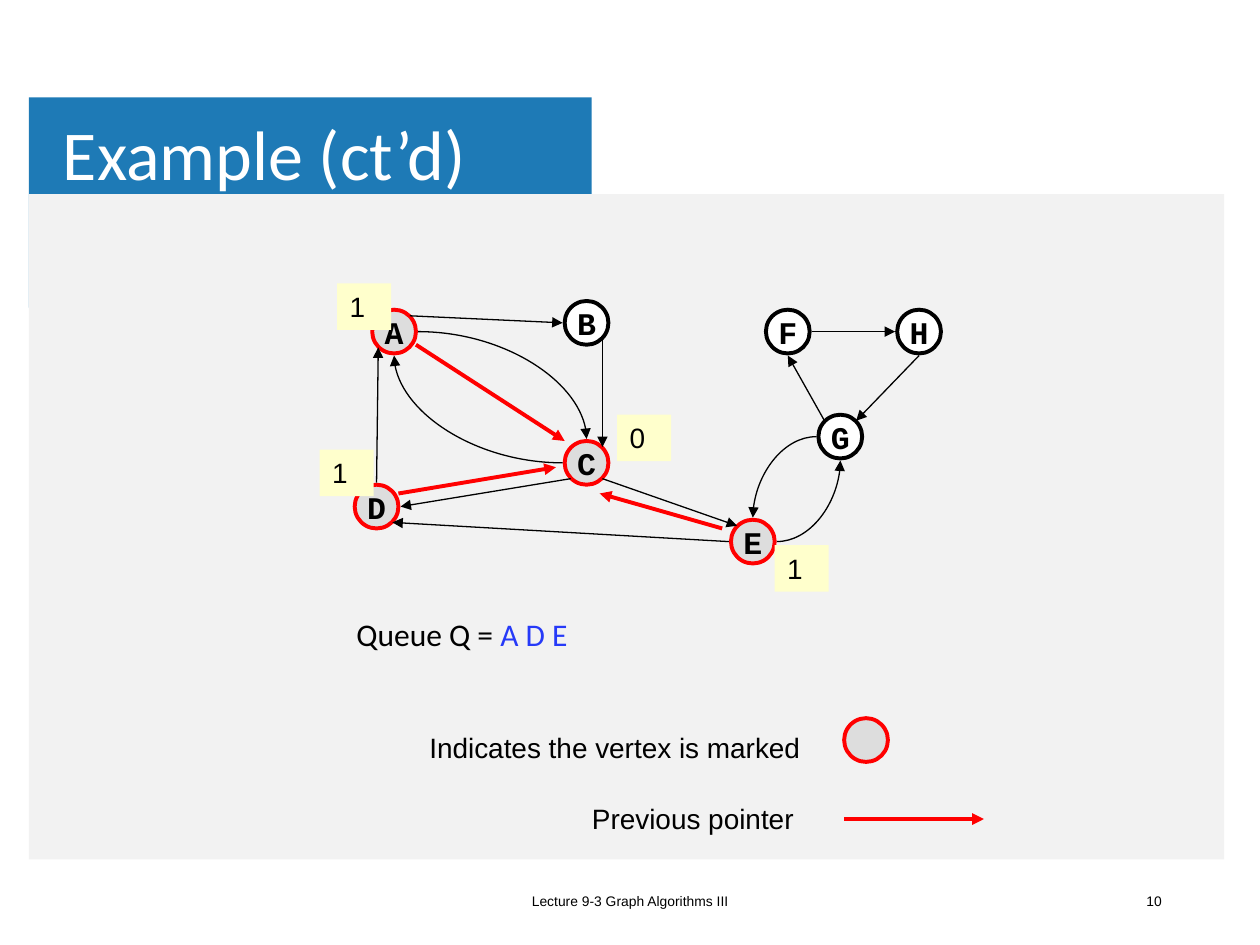
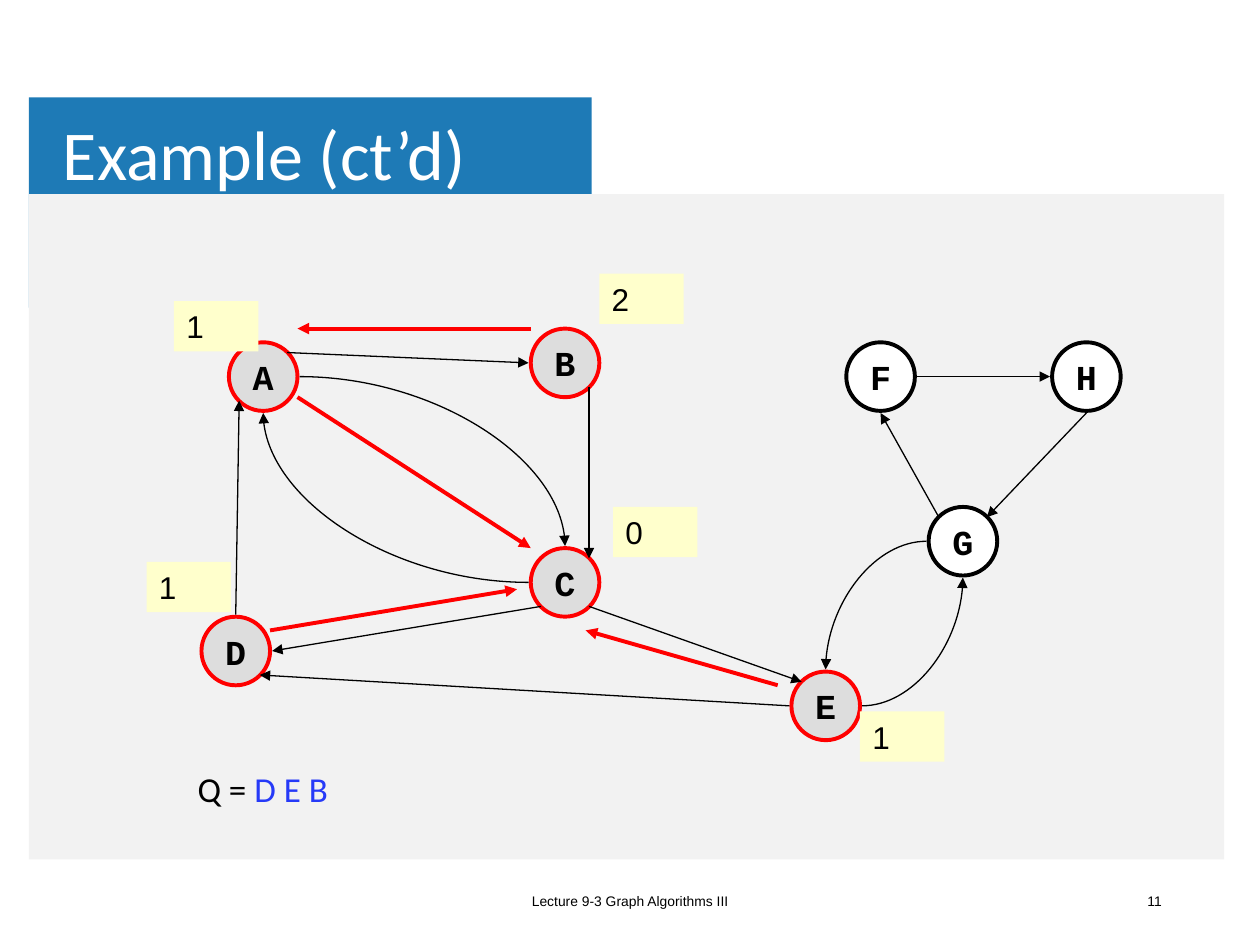
from dataclasses import dataclass

from lxml.etree import SubElement
from pptx import Presentation
from pptx.dml.color import RGBColor
from pptx.enum.shapes import MSO_CONNECTOR as CONNECTOR, MSO_SHAPE as SHAPE
from pptx.enum.text import MSO_ANCHOR as ANCHOR, PP_ALIGN as ALIGN
from pptx.oxml.ns import qn
from pptx.util import Pt

COLORS = {
    "banner": "1E7AB6",
    "panel": "F2F2F2",
    "white": "FFFFFF",
    "ink": "000000",
    "marked": "DDDDDD",
    "pointer": "FF0000",
    "distance": "FFFFCC",
    "queue": "263AF8",
}
THICK, THIN = 2.25, 0.75
DIAMETER = 5
EDGE_GAP = 1.2

VERTICES = {
    "A": (0, 0), "C": (22, 15), "B": (22, -1), "D": (-2, 20),
    "F": (45, 0), "H": (60, 0), "G": (51, 12), "E": (41, 24),
}
SITES = {
    "N": (0, -1), "S": (0, 1), "E": (1, 0), "W": (-1, 0),
    "NE": (0.66, -0.66), "NW": (-0.66, -0.66),
    "SE": (0.66, 0.66), "SW": (-0.66, 0.66),
}
CURVED_EDGES = ["A E C N", "C W A S", "G W E N", "E E G S"]
STRAIGHT_EDGES = [
    "A NE B W", "B SE C NE", "C SW D E", "D N A SW", "C SE E NW",
    "E W D SE", "G NW F S", "F E H W", "H S G NE",
]
DISTANCE_OFFSETS = {
    "A": (-6.5, -5.5), "B": (2.5, -6.5), "C": (3.5, -5.5),
    "D": (-6.5, -6.5), "E": (2.5, 0.4),
}
POINTERS = {
    "E": ((-3.5, -1.5), "C", (1.5, 3.5)),
    "D": ((2.5, -1.5), "C", (-3.5, 0.5)),
    "A": ((2.5, 1.5), "C", (-2.5, -2.5)),
    "B": ((-2.5, -2.5), "A", (2.5, -3.5)),
}


@dataclass
class Graph:
    origin: tuple
    unit: float
    letter_size: int
    distance_size: int
    distance_box: tuple
    distances: dict

    def point(self, vertex, offset=(0, 0)):
        return tuple(start + self.unit * (place + shift) for start, place, shift
                     in zip(self.origin, VERTICES[vertex], offset))

    def site(self, vertex, side):
        reach = self.unit * DIAMETER / 2 + EDGE_GAP
        return tuple(center + reach * direction for center, direction
                     in zip(self.point(vertex), SITES[side]))


def rgb(color):
    return RGBColor.from_string(COLORS[color])


def write(shape, text, size, font="Arial", color="ink", bold=False, align=ALIGN.LEFT,
          anchor=ANCHOR.TOP, wrap=True, spacing=None, insets=None):
    frame = shape.text_frame
    frame.word_wrap = wrap
    frame.vertical_anchor = anchor
    if insets:
        frame.margin_left = frame.margin_right = Pt(insets[0])
        frame.margin_top = frame.margin_bottom = Pt(insets[1])
    paragraph = frame.paragraphs[0]
    paragraph.alignment = align
    if spacing:
        paragraph.line_spacing = spacing
    pieces = [(text, color)] if isinstance(text, str) else text
    for words, tint in pieces:
        run = paragraph.add_run()
        run.text = words
        run.font.name, run.font.size, run.font.bold = font, Pt(size), bold
        run.font.color.rgb = rgb(tint)


def add_text(slide, box, text, size, **style):
    write(slide.shapes.add_textbox(*map(Pt, box)), text, size, **style)


def add_block(slide, box, fill, kind=SHAPE.RECTANGLE, outline=None):
    block = slide.shapes.add_shape(kind, *map(Pt, box))
    block.shadow.inherit = False
    block.fill.solid()
    block.fill.fore_color.rgb = rgb(fill)
    if outline:
        block.line.color.rgb = rgb(outline)
        block.line.width = Pt(THICK)
    else:
        block.line.fill.background()
    return block


def add_arrow(slide, start, end, color="ink", width=THIN, curved=False):
    kind = CONNECTOR.CURVE if curved else CONNECTOR.STRAIGHT
    arrow = slide.shapes.add_connector(kind, *map(Pt, (*start, *end)))
    arrow.line.color.rgb = rgb(color)
    arrow.line.width = Pt(width)
    properties = arrow.element.spPr
    if curved:
        properties.find(qn("a:prstGeom")).set("prst", "curvedConnector2")
    SubElement(properties.find(qn("a:ln")), qn("a:tailEnd"), type="triangle")
    SubElement(properties, qn("a:effectLst"))


def add_vertex(slide, center, diameter, marked):
    corner = [place - diameter / 2 for place in center]
    return add_block(slide, (*corner, diameter, diameter),
                     "marked" if marked else "white", SHAPE.OVAL,
                     "pointer" if marked else "ink")


def draw_graph(slide, graph):
    for letter in VERTICES:
        vertex = add_vertex(slide, graph.point(letter), graph.unit * DIAMETER,
                            letter in graph.distances)
        write(vertex, letter, graph.letter_size, font="Courier New", bold=True,
              align=ALIGN.CENTER, anchor=ANCHOR.MIDDLE, wrap=False)
    for edge in CURVED_EDGES + STRAIGHT_EDGES:
        source, leaving, target, entering = edge.split()
        add_arrow(slide, graph.site(source, leaving), graph.site(target, entering),
                  curved=edge in CURVED_EDGES)
    for letter, distance in graph.distances.items():
        corner = graph.point(letter, DISTANCE_OFFSETS[letter])
        label = add_block(slide, (*corner, *graph.distance_box), "distance")
        write(label, str(distance), graph.distance_size)
    for letter, (leaving, previous, entering) in POINTERS.items():
        if letter in graph.distances:
            add_arrow(slide, graph.point(letter, leaving), graph.point(previous, entering),
                      color="pointer", width=THICK)


def add_queue(slide, box, label, contents, size):
    add_text(slide, box, [(label, "ink"), (contents, "queue")], size, font="Calibri")


def add_legend(slide):
    add_text(slide, (226, 414, 250.6, 26.6), "Indicates the vertex is marked", 16,
             align=ALIGN.CENTER, anchor=ANCHOR.MIDDLE)
    add_vertex(slide, (494.9, 422.9), 25, marked=True)
    add_text(slide, (331.2, 454.4, 141.1, 26.6), "Previous pointer", 16)
    add_arrow(slide, (482.4, 468), (562.3, 468), color="pointer", width=THICK)


def add_example_slide(deck, number):
    slide = deck.slides.add_slide(deck.slide_layouts[6])
    add_block(slide, (16.5, 55.7, 321.6, 120.2), "banner")
    add_block(slide, (16.5, 110.9, 683.1, 380.2), "panel")
    add_text(slide, (31, 54.7, 578.2, 70.6), "Example (ct’d)", 40, font="Calibri",
             color="white", anchor=ANCHOR.MIDDLE, spacing=0.9, insets=(5, 2.9))
    add_text(slide, (238.3, 500.4, 243.4, 28.8), "Lecture 9-3 Graph Algorithms III", 7.9,
             align=ALIGN.CENTER, anchor=ANCHOR.MIDDLE)
    add_text(slide, (509, 500.4, 162, 28.8), str(number), 7.9,
             align=ALIGN.RIGHT, anchor=ANCHOR.MIDDLE)
    return slide


def main():
    deck = Presentation()
    deck.slide_width, deck.slide_height = Pt(720), Pt(540)

    first_level = add_example_slide(deck, 10)
    draw_graph(first_level, Graph((225.2, 189.5), 5, 18, 16, (30.8, 26.6),
                                  {"C": 0, "E": 1, "A": 1, "D": 1}))
    add_queue(first_level, (196.6, 347.8, 175.7, 28.8), "Queue Q = ", "A D E", 18)
    add_legend(first_level)

    second_level = add_example_slide(deck, 11)
    draw_graph(second_level, Graph((150.4, 215.2), 7.84, 20, 18, (48.2, 28.8),
                                   {"C": 0, "E": 1, "A": 1, "D": 1, "B": 2}))
    add_queue(second_level, (105.8, 434.9, 174.2, 31.7), "Q = ", "D E B", 20)

    deck.save("out.pptx")


if __name__ == "__main__":
    main()
